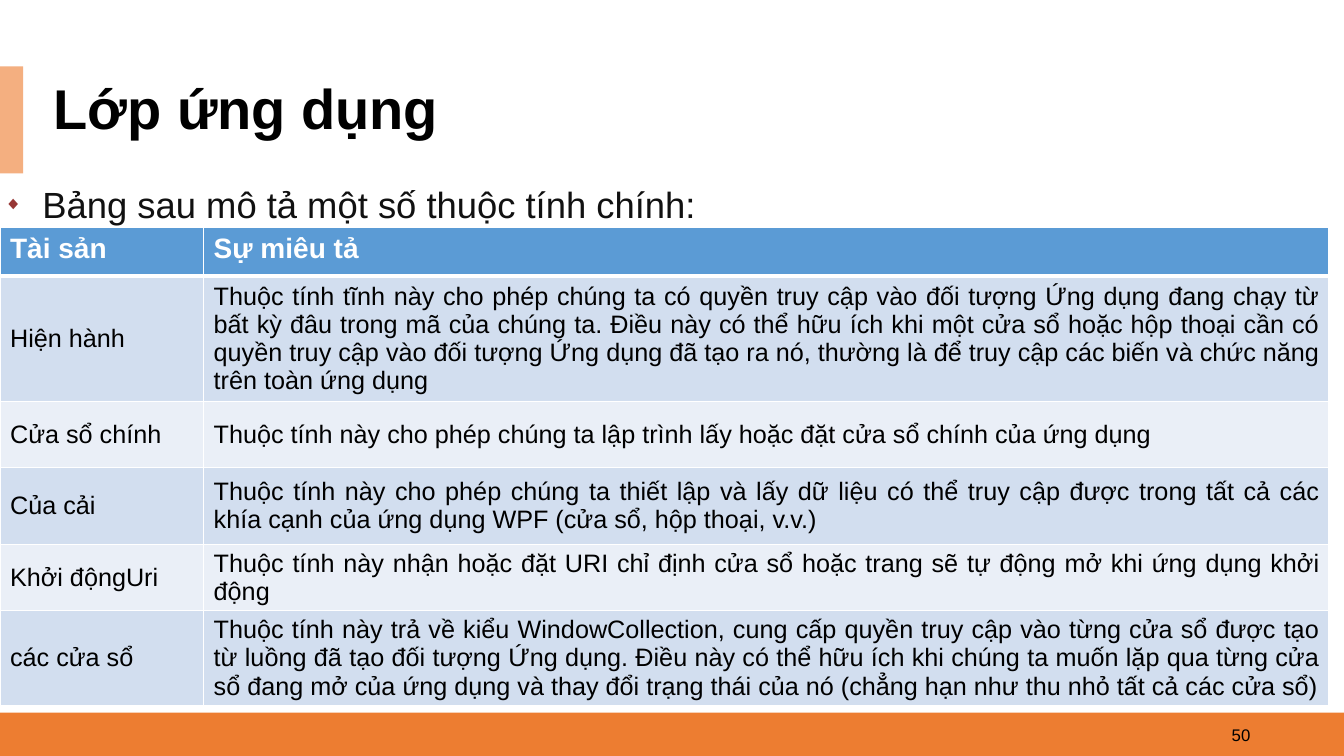
from collections import namedtuple

from lxml.etree import SubElement
from pptx import Presentation
from pptx.dml.color import RGBColor
from pptx.enum.shapes import MSO_SHAPE
from pptx.enum.text import MSO_ANCHOR, MSO_AUTO_SIZE, PP_ALIGN
from pptx.oxml.ns import qn
from pptx.util import Inches, Pt

Box = namedtuple("Box", "left top width height")
SLIDE = Box(0, 0, 13.33, 7.5)
FONT = "Arial"
COLORS = {
    "footer": "ED7D31",
    "accent": "F4AF80",
    "header": "5B9BD5",
    "band_dark": "D2DEEF",
    "band_light": "EAEFF7",
    "white": "FFFFFF",
    "black": "000000",
    "body": "111111",
    "bullet": "973735",
}
PROPERTY_ROWS = [
    ("Tài sản", "Sự miêu tả"),
    ("Hiện hành",
     "Thuộc tính tĩnh này cho phép chúng ta có quyền truy cập vào đối tượng Ứng dụng "
     "đang chạy từ bất kỳ đâu trong mã của chúng ta. Điều này có thể hữu ích khi một "
     "cửa sổ hoặc hộp thoại cần có quyền truy cập vào đối tượng Ứng dụng đã tạo ra nó, "
     "thường là để truy cập các biến và chức năng trên toàn ứng dụng"),
    ("Cửa sổ chính",
     "Thuộc tính này cho phép chúng ta lập trình lấy hoặc đặt cửa sổ chính của ứng dụng"),
    ("Của cải",
     "Thuộc tính này cho phép chúng ta thiết lập và lấy dữ liệu có thể truy cập được "
     "trong tất cả các khía cạnh của ứng dụng WPF (cửa sổ, hộp thoại, v.v.)"),
    ("Khởi độngUri",
     "Thuộc tính này nhận hoặc đặt URI chỉ định cửa sổ hoặc trang sẽ tự động mở khi "
     "ứng dụng khởi động"),
    ("các cửa sổ",
     "Thuộc tính này trả về kiểu WindowCollection, cung cấp quyền truy cập vào từng cửa "
     "sổ được tạo từ luồng đã tạo đối tượng Ứng dụng. Điều này có thể hữu ích khi chúng "
     "ta muốn lặp qua từng cửa sổ đang mở của ứng dụng và thay đổi trạng thái của nó "
     "(chẳng hạn như thu nhỏ tất cả các cửa sổ)"),
]
ROW_HEIGHTS = [0.48, 1.21, 0.66, 0.76, 0.66, 0.94]
NAME_COLUMN = 2.02


def rgb(name):
    """Return the named colour."""
    return RGBColor.from_string(COLORS[name])


def inches(box):
    """Convert a box to slide lengths."""
    return [Inches(length) for length in box]


def move(placeholder, box):
    """Place a placeholder in its box."""
    placeholder.left, placeholder.top, placeholder.width, placeholder.height = inches(box)


def write(frame, text, size, color, bold=False, align=PP_ALIGN.LEFT):
    """Write one formatted paragraph and return it."""
    frame.text = text
    paragraph = frame.paragraphs[0]
    paragraph.alignment = align
    font = paragraph.runs[0].font
    font.name, font.size, font.bold = FONT, Pt(size), bold
    font.color.rgb = rgb(color)
    return paragraph


def add_bar(slide, box, color):
    """Draw a plain coloured bar."""
    bar = slide.shapes.add_shape(MSO_SHAPE.RECTANGLE, *inches(box))
    bar.shadow.inherit = False
    bar.fill.solid()
    bar.fill.fore_color.rgb = rgb(color)
    bar.line.fill.background()


def add_footer(slide, box, number):
    """Draw the footer bar with the page number."""
    add_bar(slide, box, "footer")
    page = slide.shapes.add_textbox(
        *inches(Box(box.left + 9.5, box.top + 0.02, 3, 0.4)))
    page.text_frame.word_wrap = True
    page.text_frame.vertical_anchor = MSO_ANCHOR.MIDDLE
    write(page.text_frame, number, 12, "black", align=PP_ALIGN.RIGHT)


def add_heading(slide, box, text):
    """Draw the accent bar and fill the title beside it."""
    add_bar(slide, box._replace(width=0.23), "accent")
    title = slide.shapes.title
    move(title, Box(box.left + 0.43, box.top + 0.13, 12.2, 0.63))
    title.fill.solid()
    title.fill.fore_color.rgb = rgb("white")
    title.text_frame.auto_size = MSO_AUTO_SIZE.NONE
    title.text_frame.vertical_anchor = MSO_ANCHOR.MIDDLE
    write(title.text_frame, text, 40, "black", bold=True).line_spacing = 0.9


def add_intro(slide, box, text):
    """Fill the body with one bulleted line."""
    intro = slide.placeholders[1]
    move(intro, box)
    intro.text_frame.auto_size = MSO_AUTO_SIZE.SHAPE_TO_FIT_TEXT
    line = write(intro.text_frame, text, 26, "body", align=PP_ALIGN.JUSTIFY)
    line.line_spacing, line.space_before = 1.5, Pt(10)
    properties = line._p.get_or_add_pPr()
    properties.set("marL", str(Inches(0.38)))
    properties.set("indent", str(-Inches(0.38)))
    bullet_color = SubElement(properties, qn("a:buClr"))
    SubElement(bullet_color, qn("a:srgbClr"), val=COLORS["bullet"])
    SubElement(properties, qn("a:buSzPct"), val="50000")
    SubElement(properties, qn("a:buFont"), typeface=FONT)
    SubElement(properties, qn("a:buChar"), char="◆")
    tabs = SubElement(properties, qn("a:tabLst"))
    SubElement(tabs, qn("a:tab"), pos=str(Inches(0.26)), algn="l")


def set_borders(cell, top, bottom):
    """Give a cell white borders, with its own top and bottom widths."""
    properties = cell._tc.get_or_add_tcPr()
    for index, (side, width) in enumerate(
            [("lnL", 1), ("lnR", 1), ("lnT", top), ("lnB", bottom)]):
        border = SubElement(properties, qn(f"a:{side}"), w=str(Pt(width)))
        fill = SubElement(border, qn("a:solidFill"))
        SubElement(fill, qn("a:srgbClr"), val=COLORS["white"])
        properties.insert(index, border)


def add_properties_table(slide, box):
    """Draw the banded table of properties."""
    table = slide.shapes.add_table(len(PROPERTY_ROWS), 2, *inches(box)).table
    for column, width in zip(table.columns, (NAME_COLUMN, box.width - NAME_COLUMN)):
        column.width = Inches(width)
    for r, (texts, height) in enumerate(zip(PROPERTY_ROWS, ROW_HEIGHTS)):
        table.rows[r].height = Inches(height)
        is_header = r == 0
        band = "header" if is_header else "band_dark" if r % 2 else "band_light"
        for c, text in enumerate(texts):
            cell = table.cell(r, c)
            cell.fill.solid()
            cell.fill.fore_color.rgb = rgb(band)
            set_borders(cell, top=3 if r == 1 else 1, bottom=3 if is_header else 1)
            if is_header:
                write(cell.text_frame, text, 20, "white", bold=True)
            else:
                cell.vertical_anchor = MSO_ANCHOR.MIDDLE
                cell.margin_top = cell.margin_bottom = Inches(0.02)
                cell.margin_right = Inches(0.09)
                write(cell.text_frame, text, 18, "black",
                      align=PP_ALIGN.JUSTIFY if c else PP_ALIGN.LEFT)


def main():
    """Build and save the slide."""
    deck = Presentation()
    deck.slide_width, deck.slide_height = Inches(SLIDE.width), Inches(SLIDE.height)
    slide = deck.slides.add_slide(deck.slide_layouts[1])
    add_footer(slide, Box(0, 7.07, SLIDE.width, SLIDE.height - 7.07), "50")
    add_heading(slide, Box(0, 0.66, SLIDE.width, 1.06), "Lớp ứng dụng")
    add_intro(slide, Box(-0.06, 1.54, 10, 0.68), "Bảng sau mô tả một số thuộc tính chính:")
    add_properties_table(slide, Box(0, 2.26, 13.18, sum(ROW_HEIGHTS)))
    deck.save("out.pptx")


if __name__ == "__main__":
    main()
